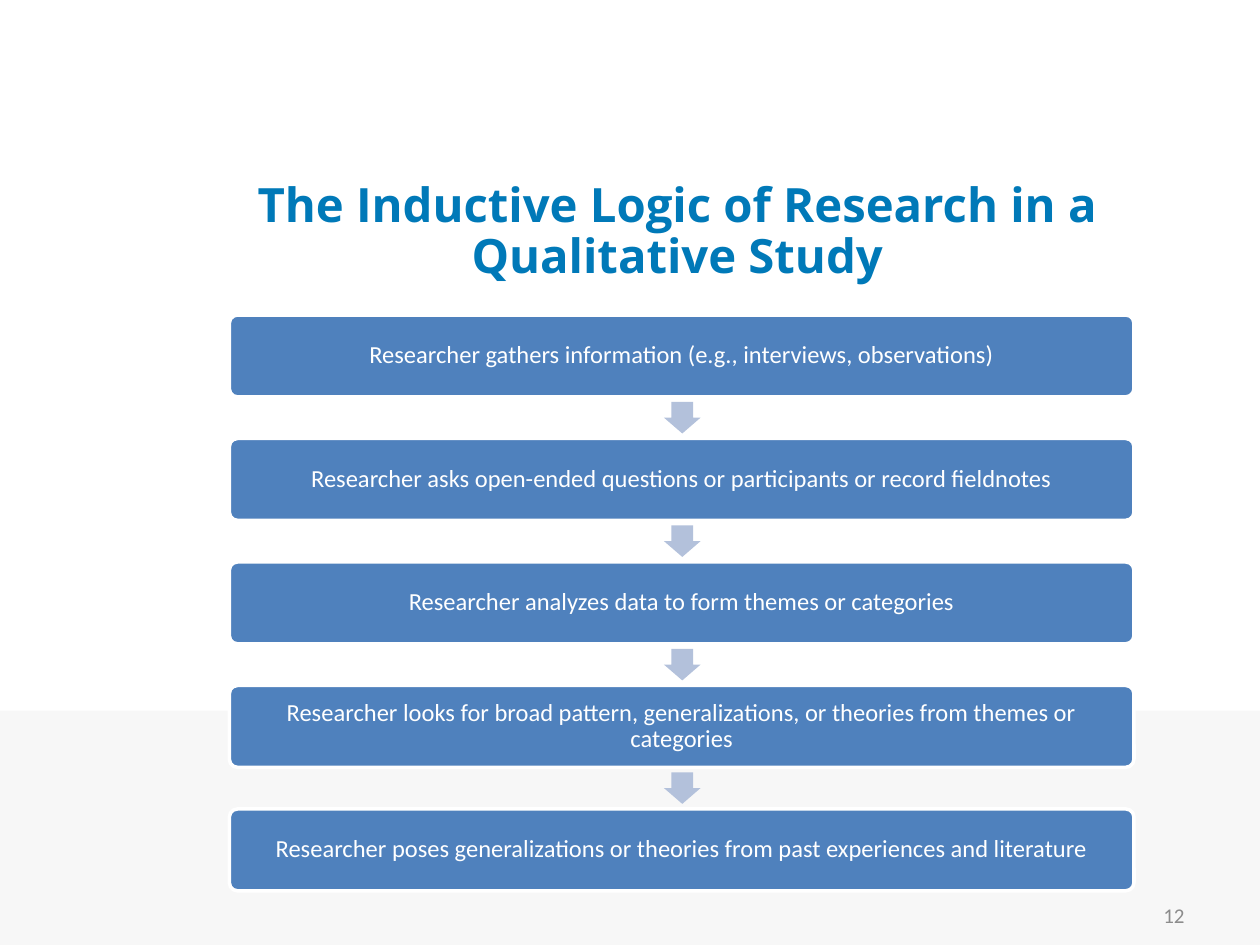
from dataclasses import dataclass

from pptx import Presentation
from pptx.dml.color import RGBColor
from pptx.enum import shapes, text
from pptx.util import Inches, Pt


@dataclass(frozen=True)
class Theme:
    band: str = "F7F7F7"
    title: str = "0079B8"
    box: str = "4F81BD"
    arrow: str = "B3C1DB"
    white: str = "FFFFFF"
    grey: str = "8C8C8C"
    head: str = "Open Sans"
    body: str = "Calibri"
    big: float = 27
    mid: float = 14
    small: float = 12


@dataclass(frozen=True)
class Rect:
    left: float
    top: float
    width: float
    height: float

    def emu(self) -> tuple:
        return tuple(Inches(v) for v in (self.left, self.top, self.width, self.height))


@dataclass(frozen=True)
class Style:
    font: str
    size: float
    color: str
    bold: bool = False


THEME = Theme()
KIND = shapes.MSO_SHAPE
ALIGN = text.PP_ALIGN
FIRST = Rect(1.82, 2.5, 7.18, 0.65)
ARROW = Rect(5.29, 3.17, 0.25, 0.29)
PITCH = 0.98
STEPS = (
    "Researcher gathers information (e.g., interviews, observations)",
    "Researcher asks open-ended questions or participants or record fieldnotes",
    "Researcher analyzes data to form themes or categories",
    "Researcher looks for broad pattern, generalizations, or theories from themes or categories",
    "Researcher poses generalizations or theories from past experiences and literature",
)


def write(frame, words: str, style: Style, align, space: float = 1.0) -> None:
    frame.word_wrap = True
    frame.auto_size = text.MSO_AUTO_SIZE.NONE
    frame.vertical_anchor = text.MSO_ANCHOR.MIDDLE
    para = frame.paragraphs[0]
    para.alignment = align
    para.line_spacing = space
    run = para.add_run()
    run.text = words
    font = run.font
    font.name, font.size, font.bold = style.font, Pt(style.size), style.bold
    font.color.rgb = RGBColor.from_string(style.color)


def draw(slide, kind, rect: Rect, fill: str):
    shape = slide.shapes.add_shape(kind, *rect.emu())
    shape.shadow.inherit = False
    shape.fill.solid()
    shape.fill.fore_color.rgb = RGBColor.from_string(fill)
    shape.line.fill.background()
    return shape


def add_step(slide, words: str, rect: Rect) -> None:
    box = draw(slide, KIND.ROUNDED_RECTANGLE, rect, THEME.box)
    box.adjustments[0] = 0.1
    box.line.color.rgb = RGBColor.from_string(THEME.white)
    box.line.width = Pt(2)
    frame = box.text_frame
    frame.margin_left = frame.margin_right = Inches(0.08)
    frame.margin_top = frame.margin_bottom = Inches(0.08)
    write(frame, words, Style(THEME.body, THEME.mid, THEME.white), ALIGN.CENTER, 0.9)


def add_arrow(slide, rect: Rect) -> None:
    arrow = draw(slide, KIND.RIGHT_ARROW, rect, THEME.arrow)
    arrow.rotation = 90
    arrow.adjustments[0] = 0.6
    arrow.adjustments[1] = 0.5


def shift(rect: Rect, row: int) -> Rect:
    return Rect(rect.left, rect.top + row * PITCH, rect.width, rect.height)


def main() -> None:
    deck = Presentation()
    deck.slide_width, deck.slide_height = Inches(10), Inches(7.5)
    slide = deck.slides.add_slide(deck.slide_layouts[5])

    band = draw(slide, KIND.RECTANGLE, Rect(0, 5.64, 10, 1.86), THEME.band)
    title = slide.shapes.title
    title._element.addprevious(band._element)
    place = Rect(1.25, 1.5, 8.25, 0.7)
    title.left, title.top, title.width, title.height = place.emu()
    write(title.text_frame, "The Inductive Logic of Research in a Qualitative Study",
          Style(THEME.head, THEME.big, THEME.title, True), ALIGN.CENTER, 0.9)

    page = slide.shapes.add_textbox(*Rect(7.17, 7.06, 2.33, 0.4).emu())
    write(page.text_frame, "12", Style(THEME.body, THEME.small, THEME.grey), ALIGN.RIGHT)

    for row, words in enumerate(STEPS):
        if row:
            add_arrow(slide, shift(ARROW, row - 1))
        add_step(slide, words, shift(FIRST, row))

    deck.save("out.pptx")


if __name__ == "__main__":
    main()
